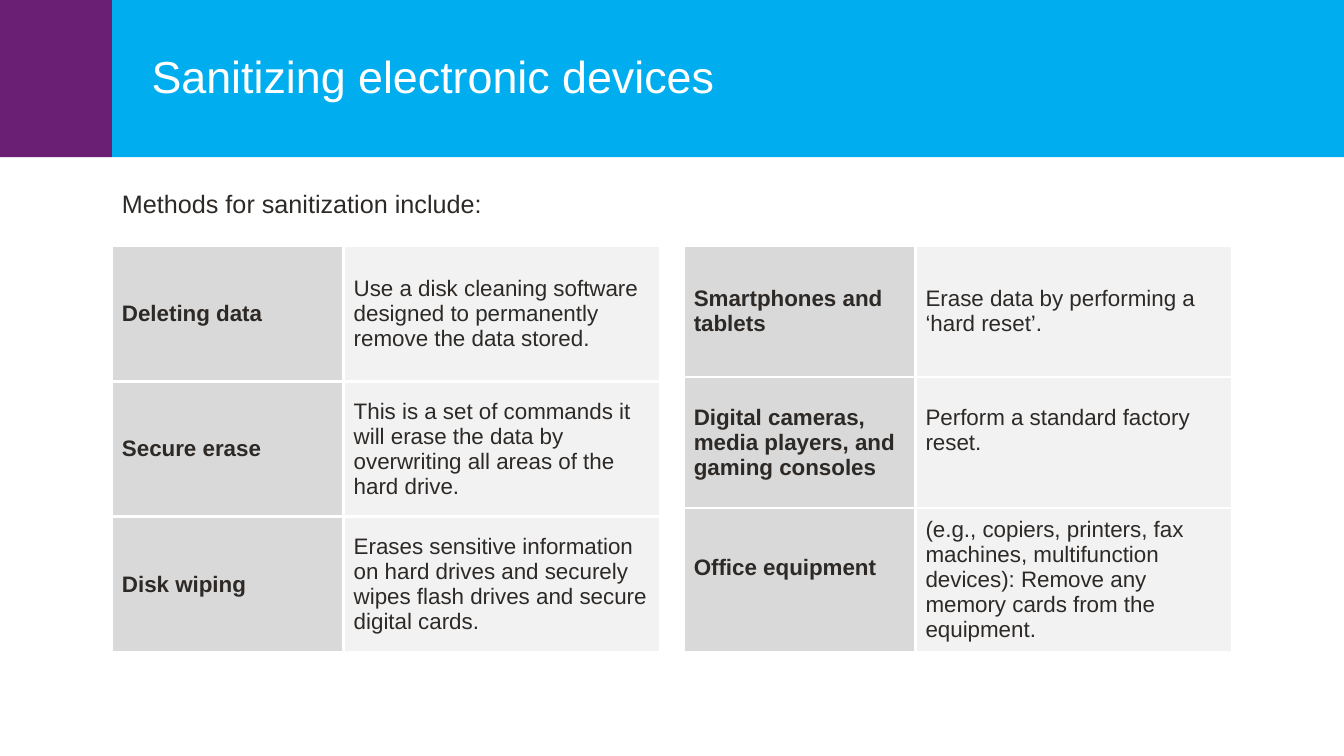
from lxml.etree import SubElement
from pptx import Presentation
from pptx.dml.color import RGBColor
from pptx.enum.shapes import MSO_SHAPE
from pptx.enum.text import MSO_ANCHOR, MSO_AUTO_SIZE, PP_ALIGN
from pptx.oxml.ns import qn
from pptx.util import Cm, Pt

WHITE = RGBColor(0xFF, 0xFF, 0xFF)
BLUE = RGBColor(0x00, 0xAE, 0xEF)
PURPLE = RGBColor(0x6A, 0x1E, 0x74)
INK = RGBColor(0x2D, 0x29, 0x26)
LABEL_GREY = RGBColor(0xD9, 0xD9, 0xD9)
DETAIL_GREY = RGBColor(0xF2, 0xF2, 0xF2)

SLIDE_WIDTH, SLIDE_HEIGHT = 33.87, 19.05
MARGIN = 2.82
HEADER_HEIGHT = 3.96
TABLE_TOP = 6.2
TABLE_WIDTH = 13.82
LABEL_WIDTH = 5.84
PADDING = 0.13
RAISED = 0.76

DEVICE_METHODS = [
    ("Deleting data", "Use a disk cleaning software designed to permanently remove the data stored."),
    ("Secure erase", "This is a set of commands it will erase the data by overwriting all areas of the hard drive."),
    ("Disk wiping", "Erases sensitive information on hard drives and securely wipes flash drives and secure digital cards."),
]
EQUIPMENT_METHODS = [
    ("Smartphones and tablets", "Erase data by performing a ‘hard reset’."),
    ("Digital cameras, media players, and gaming consoles", "Perform a standard factory reset."),
    ("Office equipment", "(e.g., copiers, printers, fax machines, multifunction devices): Remove any memory cards from the equipment."),
]
RAISED_TEXTS = ("Perform a standard factory reset.", "Office equipment")


def set_attributes(target, values):
    for name, value in values.items():
        setattr(target, name, value)


def format_font(paragraph, size, color, bold=False):
    set_attributes(paragraph.font, {"name": "Arial", "size": Pt(size), "bold": bold})
    paragraph.font.color.rgb = color


def place(shape, left, top, width, height):
    set_attributes(shape, {"left": Cm(left), "top": Cm(top), "width": Cm(width), "height": Cm(height)})


def fill_solid(target, color):
    target.fill.solid()
    target.fill.fore_color.rgb = color


def fill_placeholder(placeholder, text, paragraph_format, frame_format):
    frame = placeholder.text_frame
    frame.text = text
    set_attributes(frame, {
        "auto_size": MSO_AUTO_SIZE.NONE,
        "word_wrap": True,
        "vertical_anchor": MSO_ANCHOR.MIDDLE,
        **frame_format,
    })
    paragraph = frame.paragraphs[0]
    set_attributes(paragraph, {"alignment": PP_ALIGN.LEFT, "space_before": Pt(0), **paragraph_format})
    return paragraph


def build_header(slide, left, top, width, height):
    title = slide.shapes.title
    place(title, left + MARGIN, top, width - MARGIN, height)
    fill_solid(title, BLUE)
    paragraph = fill_placeholder(
        title, "Sanitizing electronic devices", {"line_spacing": 0.9},
        {"margin_left": Cm(1), "margin_right": Cm(1.5)})
    format_font(paragraph, 32, WHITE)

    accent = slide.shapes.add_shape(MSO_SHAPE.RECTANGLE, Cm(left), Cm(top), Cm(MARGIN), Cm(height))
    accent.shadow.inherit = False
    accent.line.fill.background()
    fill_solid(accent, PURPLE)


def build_introduction(slide, left, top, width, height):
    body = slide.placeholders[1]
    place(body, left, top, width, height)
    paragraph = fill_placeholder(body, "Methods for sanitization include:", {"space_after": Pt(12)}, {})
    properties = paragraph._p.get_or_add_pPr()
    properties.set("marL", "0")
    properties.set("indent", "0")
    SubElement(properties, qn("a:buNone"))
    format_font(paragraph, 18, INK)


def set_borders(cell):
    properties = cell._tc.get_or_add_tcPr()
    for position, side in enumerate(("lnL", "lnR", "lnT", "lnB")):
        border = SubElement(properties, qn(f"a:{side}"), w=str(Pt(2.25)))
        SubElement(SubElement(border, qn("a:solidFill")), qn("a:srgbClr"), val=str(WHITE))
        properties.insert(position, border)


def build_methods_table(slide, methods, left, top, width, row_heights):
    frame = slide.shapes.add_table(
        len(methods), 2, Cm(left), Cm(top), Cm(width), Cm(sum(row_heights)))
    table = frame.table
    set_attributes(table, {"first_row": False, "horz_banding": False})
    for column, column_width in zip(table.columns, (LABEL_WIDTH, width - LABEL_WIDTH)):
        column.width = Cm(column_width)
    for row, row_height, texts in zip(table.rows, row_heights, methods):
        row.height = Cm(row_height)
        for cell, text, color, bold in zip(row.cells, texts, (LABEL_GREY, DETAIL_GREY), (True, False)):
            cell.text = text
            set_attributes(cell, {
                "vertical_anchor": MSO_ANCHOR.MIDDLE,
                "margin_top": Cm(PADDING),
                "margin_bottom": Cm(RAISED if text in RAISED_TEXTS else PADDING),
            })
            fill_solid(cell, color)
            set_borders(cell)
            format_font(cell.text_frame.paragraphs[0], 16, INK, bold)


def main():
    presentation = Presentation()
    set_attributes(presentation, {"slide_width": Cm(SLIDE_WIDTH), "slide_height": Cm(SLIDE_HEIGHT)})
    slide = presentation.slides.add_slide(presentation.slide_layouts[1])
    build_header(slide, 0, 0, SLIDE_WIDTH, HEADER_HEIGHT)
    build_introduction(slide, MARGIN, 4.5, TABLE_WIDTH, 1.27)
    build_methods_table(slide, DEVICE_METHODS, MARGIN, TABLE_TOP, TABLE_WIDTH, [3.41] * 3)
    right_table_left = SLIDE_WIDTH - MARGIN - TABLE_WIDTH
    build_methods_table(slide, EQUIPMENT_METHODS, right_table_left, TABLE_TOP, TABLE_WIDTH, [3.3, 3.3, 3.63])
    presentation.save("out.pptx")


if __name__ == "__main__":
    main()
